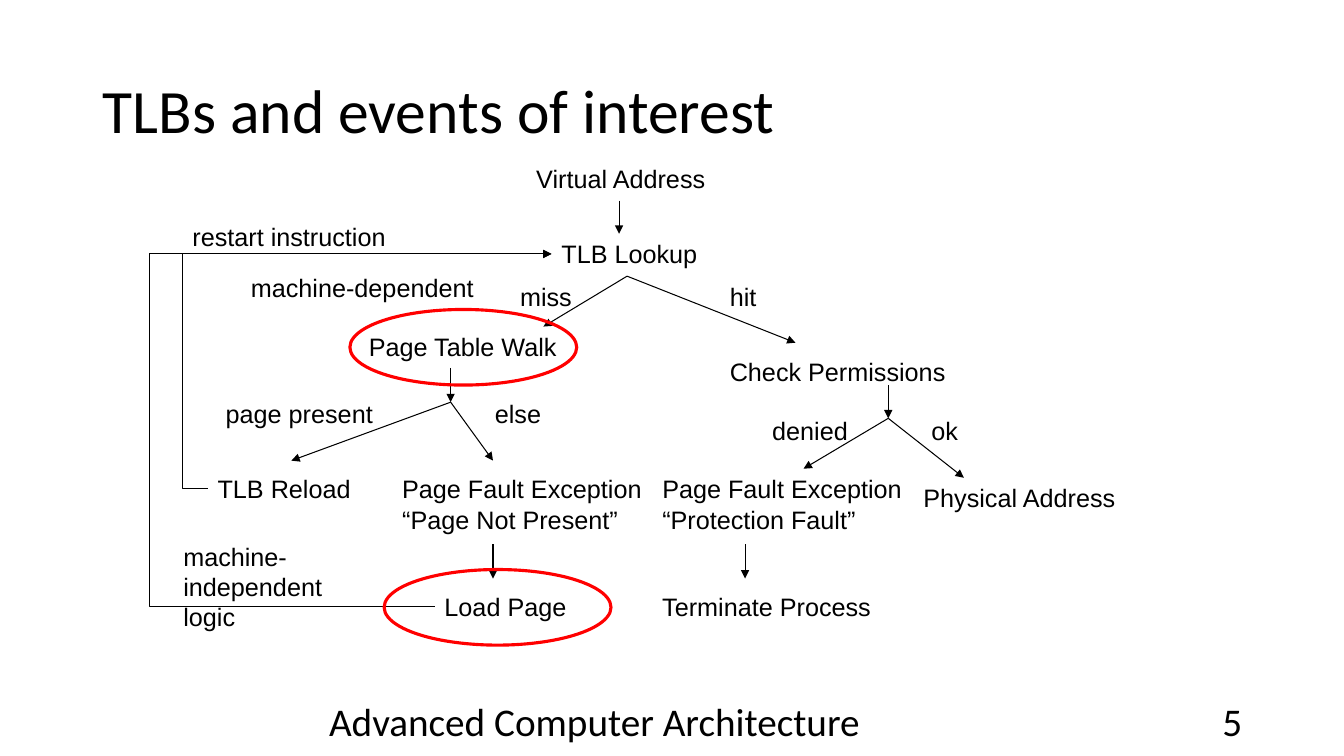
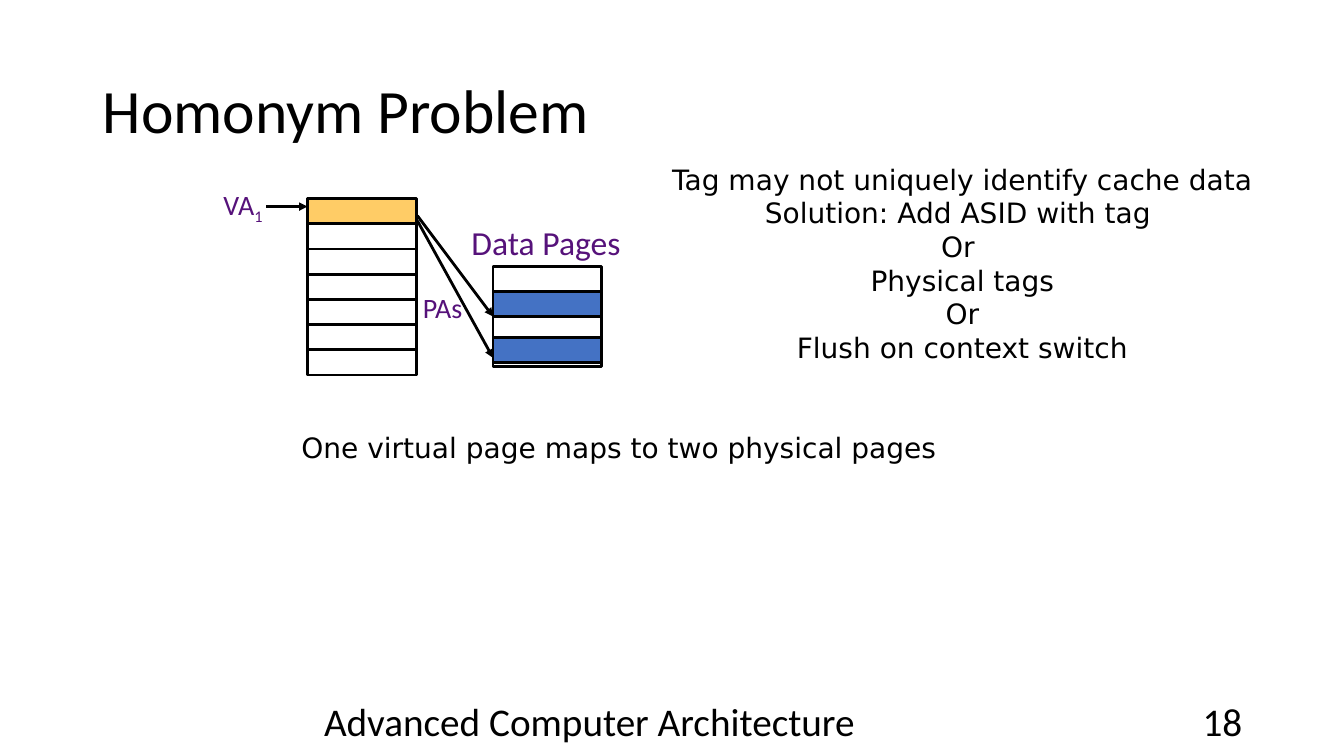
from dataclasses import dataclass
from typing import Optional

from lxml import etree
from pptx import Presentation
from pptx import util as u
from pptx.dml.color import RGBColor
from pptx.enum import shapes, text
from pptx.oxml import ns


@dataclass(frozen=True)
class Theme:
    black: str = "000000"
    red: str = "FF0000"
    purple: str = "56127A"
    orange: str = "FFCC66"
    blue: str = "4472C4"
    heading_font: str = "Calibri"
    diagram_font: str = "Arial"
    note_font: str = "DejaVu Sans"
    title_size: int = 44
    footer_size: int = 28
    caption_size: int = 24
    note_size: int = 20
    diagram_size: int = 18
    thin_line: float = 0.75
    thick_line: float = 2
    ring_line: float = 2.25


THEME = Theme()
LEFT, CENTER, RIGHT = text.PP_ALIGN.LEFT, text.PP_ALIGN.CENTER, text.PP_ALIGN.RIGHT


@dataclass(frozen=True)
class TextStyle:
    font: str
    size: int
    color: str = THEME.black
    align: text.PP_ALIGN = LEFT
    anchor: text.MSO_ANCHOR = text.MSO_ANCHOR.TOP
    wrap: bool = False
    grow: bool = True


MIDDLE = text.MSO_ANCHOR.MIDDLE
TITLE = TextStyle(THEME.heading_font, THEME.title_size, anchor=MIDDLE, wrap=True, grow=False)
FOOTER = TextStyle(THEME.heading_font, THEME.footer_size, align=CENTER, anchor=MIDDLE,
                   wrap=True, grow=False)
NUMBER = TextStyle(THEME.heading_font, THEME.footer_size, align=RIGHT, anchor=MIDDLE,
                   wrap=True, grow=False)
DIAGRAM = TextStyle(THEME.diagram_font, THEME.diagram_size)
TAG = TextStyle(THEME.heading_font, THEME.note_size, THEME.purple, CENTER, MIDDLE)
CAPTION = TextStyle(THEME.heading_font, THEME.caption_size, THEME.purple, CENTER, MIDDLE)
NOTE = TextStyle(THEME.note_font, THEME.note_size, align=CENTER, wrap=True)


@dataclass(frozen=True)
class Label:
    words: str
    left: float
    top: float
    width: float
    height: float = 0.4
    subscript: str = ""


@dataclass(frozen=True)
class Arrow:
    x1: float
    y1: float
    x2: float
    y2: float
    bend_x: Optional[float] = None


@dataclass(frozen=True)
class Cell:
    left: float
    top: float
    fill: Optional[str] = None


# Event tree
EVENT_LABELS = [
    Label("Virtual Address", 5.22, 1.57, 1.9),
    Label("TLB Lookup", 5.47, 2.32, 1.55),
    Label("Check Permissions", 7.14, 3.49, 2.34),
    Label("Physical Address", 9.06, 4.74, 2.12),
    Label("Page Fault Exception\n“Protection Fault”", 6.47, 4.65, 2.58, 0.7),
    Label("Page Table Walk", 3.56, 3.24, 2.1),
    Label("Page Fault Exception\n“Page Not Present”", 3.89, 4.65, 2.58, 0.7),
    Label("TLB Reload", 2.06, 4.65, 1.52),
    Label("Terminate Process", 6.47, 5.82, 2.3),
    Label("Load Page", 4.31, 5.82, 1.41),
    Label("miss", 5.06, 2.74, 0.72),
    Label("hit", 7.14, 2.74, 0.47),
    Label("restart instruction", 1.81, 2.15, 2.12),
    Label("page present", 2.14, 3.9, 1.66),
    Label("else", 4.81, 3.9, 0.66),
    Label("ok", 9.14, 4.07, 0.47),
    Label("denied", 7.56, 4.07, 0.95),
    Label("machine-dependent", 2.39, 2.65, 2.41),
    Label("machine-independent\nlogic", 1.72, 5.32, 2.6, 0.7),
]
EVENT_ARROWS = [
    Arrow(6.14, 1.99, 6.14, 2.32),
    Arrow(6.22, 2.74, 5.39, 3.24),
    Arrow(6.22, 2.74, 7.89, 3.4),
    Arrow(4.47, 3.65, 4.47, 3.99),
    Arrow(4.47, 3.99, 2.89, 4.57),
    Arrow(4.47, 3.99, 4.89, 4.57),
    Arrow(8.81, 3.82, 8.81, 4.15),
    Arrow(8.81, 4.15, 7.97, 4.65),
    Arrow(8.81, 4.15, 9.56, 4.74),
    Arrow(4.89, 5.4, 4.89, 5.74),
    Arrow(7.39, 5.4, 7.39, 5.74),
    Arrow(2.06, 4.85, 5.47, 2.52, bend_x=1.81),
    Arrow(4.31, 6.02, 5.47, 2.52, bend_x=1.48),
]
RINGS = [(3.47, 3.07), (3.81, 5.65)]
RING_SIZE = (2.25, 0.75)

# Page tables
CELL_SIZE = (1.08, 0.25)
VIRTUAL_LEFT, VIRTUAL_TOP, VIRTUAL_ROWS = 3.05, 1.97, 7
DATA_LEFT, DATA_TOP, DATA_ROWS = 4.89, 2.64, 4
PAGE_ARROWS = [
    Arrow(4.14, 2.14, 4.89, 3.14),
    Arrow(4.14, 2.19, 4.89, 3.55),
    Arrow(2.64, 2.05, 3.05, 2.05),
]
PAGE_TAGS = [
    Label("VA", 2.1, 1.83, 0.62, 0.44, subscript="1"),
    Label("PAs", 4.09, 2.83, 0.6, 0.44),
]
PAGE_NOTES = [
    Label("One virtual page maps to two physical pages", 2.39, 4.22, 7.5, 0.44),
    Label("Tag may not uniquely identify cache data\nSolution: Add ASID with tag \nOr \n"
          "Physical tags\nOr\nFlush on context switch", 5.92, 1.56, 7.25, 2.12),
]


def add_run(paragraph, words: str, style: TextStyle):
    run = paragraph.add_run()
    run.text = words
    run.font.name = style.font
    run.font.size = u.Pt(style.size)
    run.font.color.rgb = RGBColor.from_string(style.color)
    return run


def write_label(shape, label: Label, style: TextStyle) -> None:
    frame = shape.text_frame
    frame.word_wrap = style.wrap
    frame.vertical_anchor = style.anchor
    frame.auto_size = (text.MSO_AUTO_SIZE.SHAPE_TO_FIT_TEXT if style.grow
                       else text.MSO_AUTO_SIZE.NONE)
    for index, line in enumerate(label.words.split("\n")):
        paragraph = frame.add_paragraph() if index else frame.paragraphs[0]
        paragraph.alignment = style.align
        add_run(paragraph, line, style)
    if label.subscript:
        run = add_run(paragraph, label.subscript, style)
        run.font._element.set("baseline", "-25000")


def add_label(slide, label: Label, style: TextStyle) -> None:
    box = slide.shapes.add_textbox(u.Inches(label.left), u.Inches(label.top),
                                   u.Inches(label.width), u.Inches(label.height))
    write_label(box, label, style)


def add_outline(slide, kind, position: tuple[float, float], size: tuple[float, float],
                color: str, weight: float, fill: Optional[str] = None) -> None:
    shape = slide.shapes.add_shape(kind, *map(u.Inches, position + size))
    shape.shadow.inherit = False
    shape.line.color.rgb = RGBColor.from_string(color)
    shape.line.width = u.Pt(weight)
    if fill:
        shape.fill.solid()
        shape.fill.fore_color.rgb = RGBColor.from_string(fill)
    else:
        shape.fill.background()


def add_arrow(slide, arrow: Arrow, weight: float) -> None:
    bent = arrow.bend_x is not None
    kind = shapes.MSO_CONNECTOR.ELBOW if bent else shapes.MSO_CONNECTOR.STRAIGHT
    connector = slide.shapes.add_connector(
        kind, *map(u.Inches, (arrow.x1, arrow.y1, arrow.x2, arrow.y2)))
    connector.line.color.rgb = RGBColor.from_string(THEME.black)
    connector.line.width = u.Pt(weight)
    properties = connector._element.spPr
    line = properties.find(ns.qn("a:ln"))
    etree.SubElement(line, ns.qn("a:tailEnd"), type="triangle")
    etree.SubElement(properties, ns.qn("a:effectLst"))
    if bent:
        ratio = (arrow.bend_x - arrow.x1) / (arrow.x2 - arrow.x1)
        geometry = properties.find(ns.qn("a:prstGeom"))
        adjustments = geometry.find(ns.qn("a:avLst"))
        if adjustments is None:
            adjustments = etree.SubElement(geometry, ns.qn("a:avLst"))
        etree.SubElement(adjustments, ns.qn("a:gd"), name="adj1",
                         fmla=f"val {round(ratio * 100000)}")


def add_cell(slide, cell: Cell) -> None:
    add_outline(slide, shapes.MSO_SHAPE.RECTANGLE, (cell.left, cell.top), CELL_SIZE,
                THEME.black, THEME.thick_line, cell.fill)


def new_slide(presentation, title: str, number: str, footer_left: float):
    """Add a slide with the shared title, footer and slide number."""
    slide = presentation.slides.add_slide(presentation.slide_layouts[5])
    heading = slide.shapes.title
    heading.left, heading.top = u.Inches(0.92), u.Inches(0.4)
    heading.width, heading.height = u.Inches(11.5), u.Inches(1.45)
    write_label(heading, Label(title, 0.92, 0.4, 11.5, 1.45), TITLE)
    heading.text_frame.paragraphs[0].line_spacing = 0.9
    add_label(slide, Label("Advanced Computer Architecture", footer_left, 6.95, 6.05), FOOTER)
    add_label(slide, Label(number, 9.42, 6.95, 3), NUMBER)
    return slide


def build_events(presentation) -> None:
    slide = new_slide(presentation, "TLBs and events of interest", "5", 2.87)
    for label in EVENT_LABELS:
        add_label(slide, label, DIAGRAM)
    for arrow in EVENT_ARROWS:
        add_arrow(slide, arrow, THEME.thin_line)
    for position in RINGS:
        add_outline(slide, shapes.MSO_SHAPE.OVAL, position, RING_SIZE,
                    THEME.red, THEME.ring_line)


def build_homonyms(presentation) -> None:
    slide = new_slide(presentation, "Homonym Problem", "18", 2.82)
    row_height = CELL_SIZE[1]
    # Virtual pages, with the shared one highlighted
    for row in range(VIRTUAL_ROWS):
        add_cell(slide, Cell(VIRTUAL_LEFT, VIRTUAL_TOP + row * row_height,
                             None if row else THEME.orange))
    # Data pages, with the second mapped page over the last row
    for row in range(DATA_ROWS):
        add_cell(slide, Cell(DATA_LEFT, DATA_TOP + row * row_height,
                             THEME.blue if row == 1 else None))
    for arrow in PAGE_ARROWS:
        add_arrow(slide, arrow, THEME.thick_line)
    add_cell(slide, Cell(DATA_LEFT, 3.35, THEME.blue))
    # Names and explanations
    for label in PAGE_TAGS:
        add_label(slide, label, TAG)
    add_label(slide, Label("Data Pages", 4.56, 2.15, 1.71, 0.5), CAPTION)
    for label in PAGE_NOTES:
        add_label(slide, label, NOTE)


def main() -> None:
    presentation = Presentation()
    presentation.slide_width = u.Inches(13.33)
    presentation.slide_height = u.Inches(7.5)
    build_events(presentation)
    build_homonyms(presentation)
    presentation.save("out.pptx")


if __name__ == "__main__":
    main()
